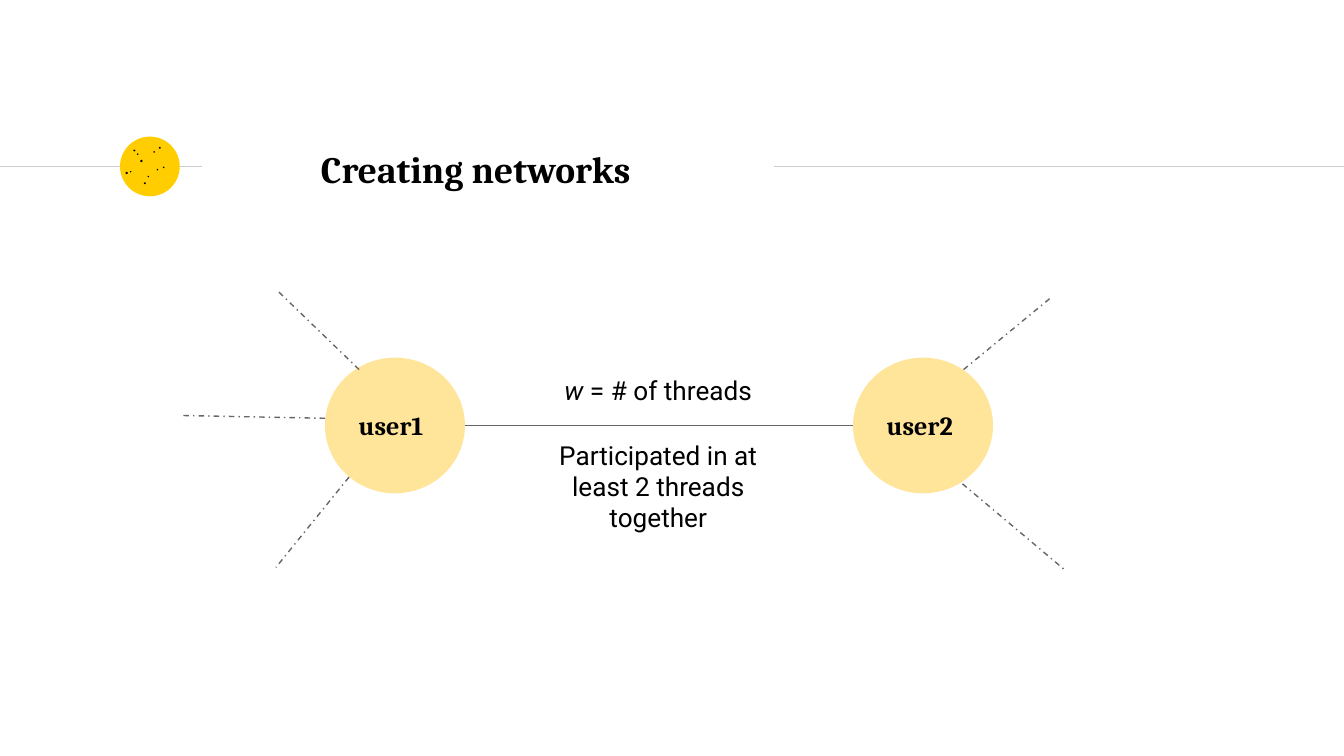
from lxml import etree
from pptx import Presentation
from pptx.dml.color import RGBColor
from pptx.enum import dml, shapes, text
from pptx.oxml.ns import qn
from pptx.util import Pt

COLORS = {"black": "000000", "rule": "CCCCCC", "edge": "666666",
          "badge": "FFCD00", "node": "FFE599"}
SERIF, SANS = "Cambria", "Roboto"

# All lengths are points.
SLIDE_W, SLIDE_H = 720, 405
RULE_Y = 89.2
RULES = [(0, 108), (414.7, SLIDE_W)]
BADGE = (64.3, 73.2, 32, 32)
# Speckles on the badge: centre x, centre y, diameter
SPECKLES = [(85.6, 79.2, 1), (72, 80.6, 1), (67.9, 92.7, 1.2), (77.6, 98.2, 1),
            (87.7, 89.7, 0.8), (75.8, 86.3, 1.2), (73.8, 82.6, 0.8),
            (82.6, 81.4, 0.8), (84.4, 90.9, 0.8), (79.5, 94.6, 0.8),
            (70, 92, 0.7)]

TITLE = ("Creating networks", (164.9, 73.2, 305.3, 34.6))
NODE_W, NODE_H, NODE_Y = 75, 72.7, 191.6
NODES = [("user1", 174.1), ("user2", 457)]
EDGE_Y = NODE_Y + NODE_H / 2
LOOSE_EDGES = [((192.4, 198), (148.3, 155.4)), ((174.2, 224.1), (96.5, 222.6)),
               ((187, 255.6), (147.8, 304)), ((516.2, 198), (562.6, 159.8)),
               ((515.6, 259.2), (569.8, 304.8))]
LABEL_X, LABEL_W = 291.5, 122.4
WEIGHT = [("w", True), (" = # of threads", False)]
CONDITION = [("Participated in at least 2 threads together", False)]


def rgb(name):
    return RGBColor.from_string(COLORS[name])


def add_line(s, start, end, color, dash=None):
    line = s.shapes.add_connector(shapes.MSO_CONNECTOR.STRAIGHT,
                                  *map(Pt, (*start, *end)))
    line.line.color.rgb = rgb(color)
    line.line.width = Pt(0.75)
    if dash:
        line.line.dash_style = dash
    etree.SubElement(line._element.spPr, qn("a:effectLst"))


def add_oval(s, box, color):
    sp = s.shapes.add_shape(shapes.MSO_SHAPE.OVAL, *map(Pt, box))
    sp.shadow.inherit = False
    sp.fill.solid()
    sp.fill.fore_color.rgb = rgb(color)
    sp.line.fill.background()
    return sp


def write(sp, runs, font, size, bold=False, align=text.PP_ALIGN.LEFT,
          anchor=text.MSO_ANCHOR.MIDDLE):
    """Fill a shape with one paragraph of (text, italic) runs."""
    tf = sp.text_frame
    tf.word_wrap = True
    tf.vertical_anchor = anchor
    tf.margin_left = tf.margin_right = tf.margin_top = tf.margin_bottom = Pt(7.2)
    p = tf.paragraphs[0]
    p.alignment = align
    p.font.name, p.font.size, p.font.bold = font, Pt(size), bold
    p.font.color.rgb = rgb("black")
    for words, italic in runs:
        r = p.add_run()
        r.text = words
        r.font.italic = italic


def add_label(s, runs, top, height):
    box = s.shapes.add_textbox(*map(Pt, (LABEL_X, top, LABEL_W, height)))
    write(box, runs, SANS, 14, align=text.PP_ALIGN.CENTER,
          anchor=text.MSO_ANCHOR.TOP)


def main():
    prs = Presentation()
    prs.slide_width, prs.slide_height = Pt(SLIDE_W), Pt(SLIDE_H)
    s = prs.slides.add_slide(prs.slide_layouts[6])

    for x1, x2 in RULES:
        add_line(s, (x1, RULE_Y), (x2, RULE_Y), "rule")
    add_oval(s, BADGE, "badge")
    for x, y, d in SPECKLES:
        add_oval(s, (x - d / 2, y - d / 2, d, d), "black")

    title, box = TITLE
    write(s.shapes.add_textbox(*map(Pt, box)), [(title, False)], SERIF, 20, bold=True)

    for name, x in NODES:
        node = add_oval(s, (x, NODE_Y, NODE_W, NODE_H), "node")
        write(node, [(name, False)], SERIF, 14, bold=True)
    (_, left), (_, right) = NODES
    add_line(s, (left + NODE_W, EDGE_Y), (right, EDGE_Y), "edge")
    for start, end in LOOSE_EDGES:
        add_line(s, start, end, "edge", dml.MSO_LINE.DASH_DOT)

    add_label(s, WEIGHT, EDGE_Y - 34.5, 34.5)
    add_label(s, CONDITION, EDGE_Y, 63.4)
    prs.save("out.pptx")


if __name__ == "__main__":
    main()
